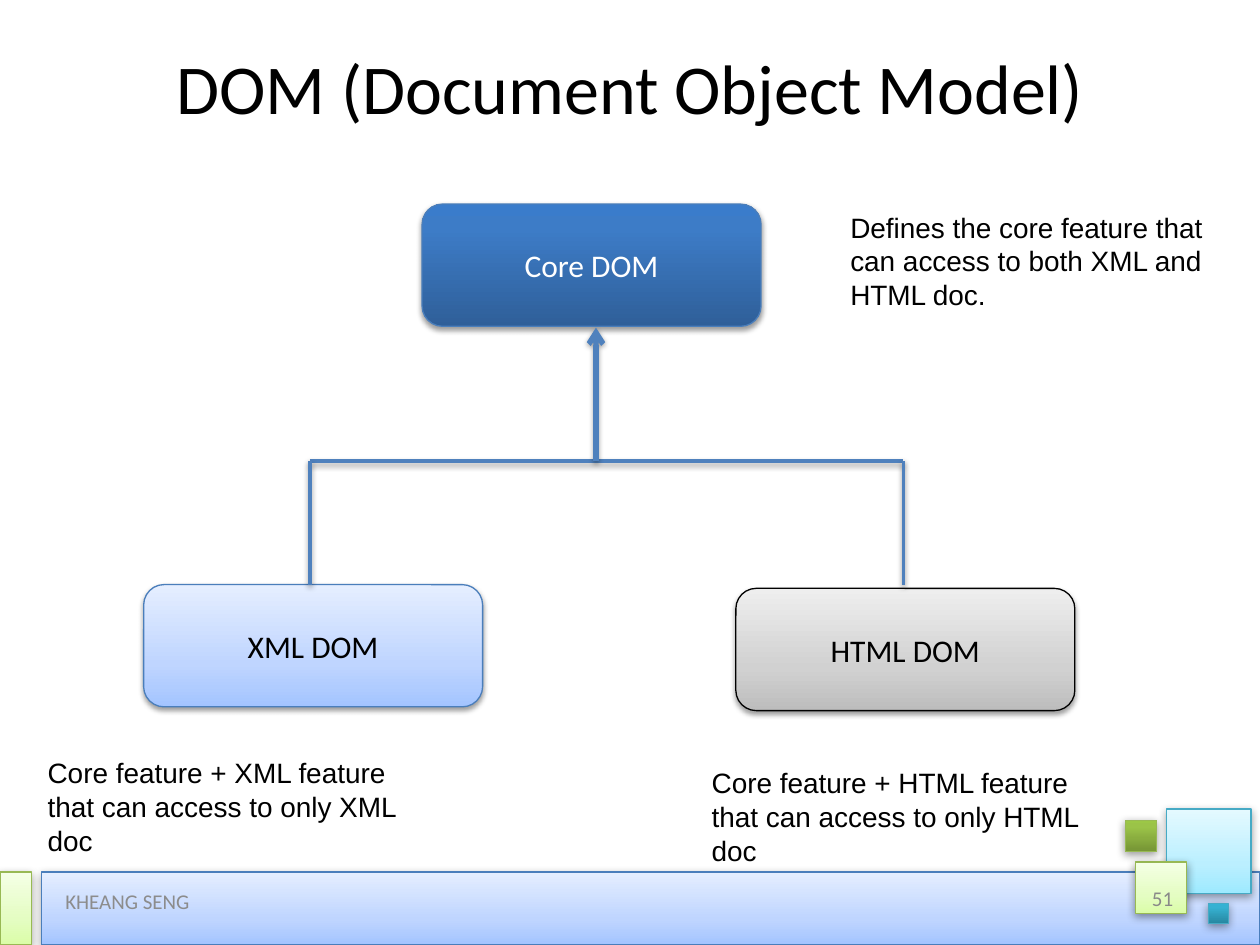
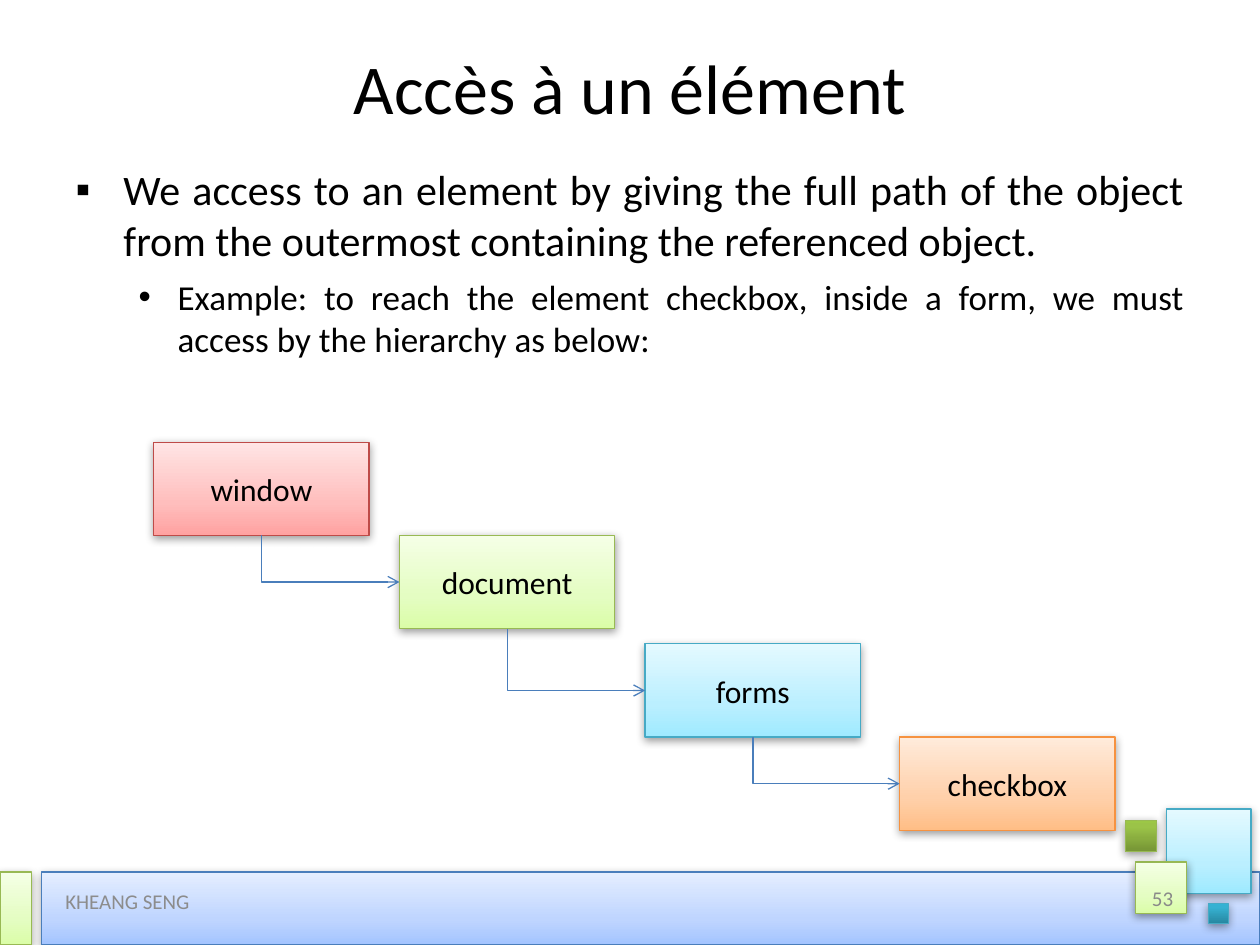
from copy import deepcopy

from lxml.etree import SubElement
from pptx import Presentation
from pptx.dml.color import RGBColor
from pptx.enum.shapes import MSO_CONNECTOR, MSO_SHAPE
from pptx.enum.text import MSO_ANCHOR, MSO_AUTO_SIZE, PP_ALIGN
from pptx.oxml.ns import qn
from pptx.util import Inches, Pt

BLACK = RGBColor(0x00, 0x00, 0x00)
WHITE = RGBColor(0xFF, 0xFF, 0xFF)
FOOTER_GREY = RGBColor(0x8C, 0x8C, 0x8C)
NUMBER_GREY = RGBColor(0x89, 0x89, 0x89)
CONNECTOR_BLUE = RGBColor(0x4F, 0x81, 0xBD)
BLUE_LINE = RGBColor(0x4A, 0x7E, 0xBB)
CYAN_LINE = RGBColor(0x46, 0xAA, 0xC5)
GREEN_LINE = RGBColor(0x98, 0xB9, 0x54)
RED_LINE = RGBColor(0xBE, 0x4B, 0x48)
ORANGE_LINE = RGBColor(0xF6, 0x92, 0x40)


def gradient(middle, *colors):
    return list(zip((0, middle, 1), map(RGBColor.from_string, colors)))


LIGHT_BLUE = (gradient(0.35, "A3C4FF", "BFD5FF", "E5EEFF"), BLUE_LINE)
LIGHT_CYAN = (gradient(0.35, "9EEAFF", "BBEFFF", "E4F9FF"), CYAN_LINE)
LIGHT_GREEN = (gradient(0.35, "DAFDA7", "E4FDC2", "F5FFE6"), GREEN_LINE)
LIGHT_RED = (gradient(0.35, "FFA2A1", "FFBEBD", "FFE5E5"), RED_LINE)
LIGHT_ORANGE = (gradient(0.35, "FFBE86", "FFD0AA", "FFEBDB"), ORANGE_LINE)
LIGHT_GREY = (gradient(0.35, "BDBDBD", "D1D1D1", "EEEEEE"), BLACK)
DARK_BLUE = (gradient(0.8, "2F5F99", "3D7CC7", "3A7CCB"), BLUE_LINE)
DARK_GREEN = (gradient(0.8, "769535", "9BC348", "9CC746"), GREEN_LINE)
DARK_CYAN = (gradient(0.8, "2787A0", "36B1D2", "34B3D6"), CYAN_LINE)

TITLE_FONT = {"name": "Calibri", "size": Pt(40)}
LABEL_FONT = {"name": "Calibri", "size": Pt(18)}
NOTE_FONT = {"name": "Arial", "size": Pt(16)}
FOOTER_FONT = {"name": "Calibri", "size": Pt(12)}
SHADOW_OPACITY = 38


def set_attributes(target, values):
    for name, value in values.items():
        setattr(target, name, value)


def place(shape, box):
    names = ("left", "top", "width", "height")
    set_attributes(shape, dict(zip(names, map(Inches, box))))


def write(paragraph, text, font, color=BLACK, alignment=PP_ALIGN.LEFT):
    run = paragraph.add_run()
    run.text = text
    set_attributes(run.font, font)
    run.font.color.rgb = color
    paragraph.alignment = alignment


def set_shadow(shape, blur=None):
    effects = SubElement(shape.element.spPr, qn("a:effectLst"))
    if blur:
        shadow = SubElement(effects, qn("a:outerShdw"), blurRad=str(Pt(blur)),
                            dist=str(Pt(1.6)), dir="5400000", rotWithShape="0")
        color = SubElement(shadow, qn("a:srgbClr"), val="000000")
        SubElement(color, qn("a:alpha"), val=str(SHADOW_OPACITY * 1000))


def add_block(slide, box, style, label="", color=BLACK,
              preset=MSO_SHAPE.RECTANGLE, blur=5):
    stops, line_color = style
    shape = slide.shapes.add_shape(preset, *map(Inches, box))
    shape.fill.gradient()
    shape.fill.gradient_angle = 90
    stop_list = shape.element.spPr.find(".//" + qn("a:gsLst"))
    stop_list.append(deepcopy(stop_list[0]))
    for stop, (position, stop_color) in zip(shape.fill.gradient_stops, stops):
        stop.position = position
        stop.color.rgb = stop_color
    shape.line.color.rgb = line_color
    shape.line.width = Pt(0.75)
    set_shadow(shape, blur)
    if label:
        shape.text_frame.vertical_anchor = MSO_ANCHOR.MIDDLE
        write(shape.text_frame.paragraphs[0], label, LABEL_FONT, color, PP_ALIGN.CENTER)
    return shape


def add_text(slide, box, text, font, color=BLACK, alignment=PP_ALIGN.LEFT,
             anchor=MSO_ANCHOR.TOP):
    frame = slide.shapes.add_textbox(*map(Inches, box)).text_frame
    set_attributes(frame, {"word_wrap": True, "vertical_anchor": anchor})
    write(frame.paragraphs[0], text, font, color, alignment)


def add_line(slide, start, end, color, width, arrow=False, blur=None,
             kind=MSO_CONNECTOR.STRAIGHT):
    line = slide.shapes.add_connector(kind, *map(Inches, start + end))
    line.line.color.rgb = color
    line.line.width = Pt(width)
    if arrow:
        SubElement(line.line._get_or_add_ln(), qn("a:tailEnd"), type="arrow")
    set_shadow(line, blur)
    return line


def add_step_arrow(slide, upper, lower):
    line = add_line(slide, (0, 0), (1, 1), BLUE_LINE, 0.75, True,
                    kind=MSO_CONNECTOR.ELBOW)
    line.begin_connect(upper, 2)
    line.end_connect(lower, 1)
    start_x, start_y = upper.left + upper.width // 2, upper.top + upper.height
    run = lower.left - start_x
    drop = lower.top + lower.height // 2 - start_y
    set_attributes(line, {"left": start_x + (run - drop) // 2,
                          "top": start_y + (drop - run) // 2,
                          "width": drop, "height": run})
    properties = line.element.spPr
    properties.find(qn("a:prstGeom")).set("prst", "bentConnector2")
    transform = properties.find(qn("a:xfrm"))
    for name, value in {"rot": "16200000", "flipH": "1"}.items():
        transform.set(name, value)


def add_footer(slide, box, number):
    left, top, width, height = box
    add_block(slide, (left + 0.33, top, width - 0.33, height), LIGHT_BLUE)
    squares = (
        (9.26, -0.5, 0.67, LIGHT_CYAN),
        (9.01, -0.08, 0.41, LIGHT_GREEN),
        (8.93, -0.41, 0.25, DARK_GREEN),
        (9.59, 0.25, 0.16, DARK_CYAN),
    )
    for x, y, side, style in squares:
        add_block(slide, (left + x, top + y, side, side), style)
    add_block(slide, (left, top, 0.25, height), LIGHT_GREEN)
    add_text(slide, (left + 7.08, top + 0.01, 2.33, 0.4), number, FOOTER_FONT,
             NUMBER_GREY, PP_ALIGN.RIGHT, MSO_ANCHOR.MIDDLE)
    add_text(slide, (left + 0.42, top + 0.03, 3.17, 0.4), "KHEANG SENG", FOOTER_FONT,
             FOOTER_GREY, anchor=MSO_ANCHOR.MIDDLE)


def add_slide(presentation, layout, title, number):
    slide = presentation.slides.add_slide(presentation.slide_layouts[layout])
    place(slide.shapes.title, (0.5, 0.25, 9, 0.87))
    frame = slide.shapes.title.text_frame
    set_attributes(frame, {"vertical_anchor": MSO_ANCHOR.MIDDLE,
                           "auto_size": MSO_AUTO_SIZE.NONE})
    write(frame.paragraphs[0], title, TITLE_FONT, alignment=PP_ALIGN.CENTER)
    add_footer(slide, (0, 6.92, 10, 0.58), number)
    return slide


def add_dom_tree(slide, box):
    left, top, width, height = box
    node_width, node_height = 2.69, 0.97
    nodes = (
        (2.21, 0, "Core DOM", DARK_BLUE, WHITE),
        (width - node_width, height - node_height, "HTML DOM", LIGHT_GREY, BLACK),
        (0, 3.02, "XML DOM", LIGHT_BLUE, BLACK),
    )
    for x, y, label, style, color in nodes:
        add_block(slide, (left + x, top + y, node_width, node_height), style, label,
                  color, MSO_SHAPE.ROUNDED_RECTANGLE, 3.1)
    bar_y, branch_end = top + 2.04, top + 3.02
    branch_left, branch_right, trunk = left + 1.32, left + 6.03, left + 3.59
    lines = (
        ((branch_left, bar_y), (branch_right, bar_y), 2, False),
        ((branch_left, bar_y), (branch_left, branch_end), 2, False),
        ((branch_right, bar_y), (branch_right, branch_end), 2, False),
        ((trunk, bar_y), (trunk, top + 0.98), 3, True),
    )
    for start, end, weight, arrow in lines:
        add_line(slide, start, end, CONNECTOR_BLUE, weight, arrow, 3.1)
    notes = (
        (5.51, 0, "Defines the core feature that can access to both XML and HTML doc."),
        (-0.86, 4.33, "Core feature + XML feature that can access to only XML doc"),
        (4.41, 4.41, "Core feature + HTML feature that can access to only HTML doc"),
    )
    for x, y, text in notes:
        add_text(slide, (left + x, top + y, 3.23, 0.91), text, NOTE_FONT)


def fill_body(body, box):
    place(body, box)
    body.text_frame.auto_size = MSO_AUTO_SIZE.NONE
    items = (
        (0, "▪", 24, 0.38, 0.38, "We access to an element by giving the full path of "
         "the object from the outermost containing the referenced object."),
        (1, "•", 20, 0.81, 0.31, "Example: to reach the element checkbox, inside a "
         "form, we must access by the hierarchy as below:"),
    )
    for level, bullet, size, margin, hanging, text in items:
        frame = body.text_frame
        paragraph = frame.add_paragraph() if level else frame.paragraphs[0]
        write(paragraph, text, {"name": "Calibri", "size": Pt(size)},
              alignment=PP_ALIGN.JUSTIFY)
        set_attributes(paragraph, {"level": level, "space_before": Pt(0),
                                   "space_after": Pt(6)})
        properties = paragraph._p.get_or_add_pPr()
        properties.set("marL", str(Inches(margin)))
        properties.set("indent", str(-Inches(hanging)))
        SubElement(properties, qn("a:buFont"), typeface="Arial")
        SubElement(properties, qn("a:buChar"), char=bullet)


def add_hierarchy(slide, box):
    left, top, width, height = box
    step_width, step_height = 1.71, 0.74
    steps = (
        (0, 0, "window", LIGHT_RED),
        (1.95, 0.74, "document", LIGHT_GREEN),
        (3.9, 1.6, "forms", LIGHT_CYAN),
        (width - step_width, height - step_height, "checkbox", LIGHT_ORANGE),
    )
    blocks = [add_block(slide, (left + x, top + y, step_width, step_height), style, label)
              for x, y, label, style in steps]
    for upper, lower in zip(blocks, blocks[1:]):
        add_step_arrow(slide, upper, lower)


def main():
    presentation = Presentation()
    set_attributes(presentation, {"slide_width": Inches(10), "slide_height": Inches(7.5)})
    model_slide = add_slide(presentation, 5, "DOM (Document Object Model)", "51")
    add_dom_tree(model_slide, (1.14, 1.62, 7.39, 4.02))
    access_slide = add_slide(presentation, 1, "Accès à un élément", "53")
    fill_body(access_slide.placeholders[1], (0.5, 1.25, 9, 5.5))
    add_hierarchy(access_slide, (1.22, 3.51, 7.63, 3.08))
    presentation.save("out.pptx")


if __name__ == "__main__":
    main()
